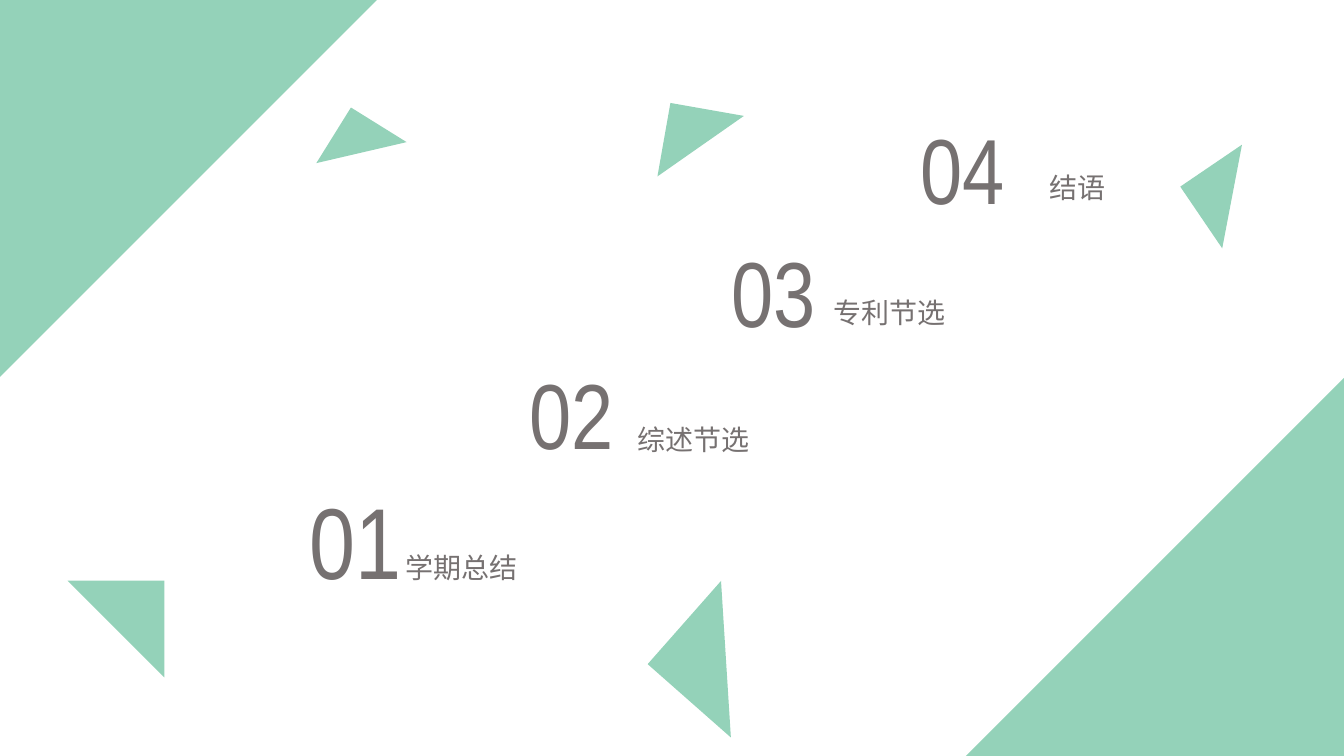
import pptx
import pptx.dml.color
import pptx.enum.shapes
import pptx.enum.text
import pptx.oxml.ns
import pptx.util
from lxml import etree

Inches = pptx.util.Inches
GREEN, GREY = "94D2B9", "767171"

prs = pptx.Presentation()
prs.slide_width, prs.slide_height = Inches(13.33), Inches(7.5)
slide = prs.slides.add_slide(prs.slide_layouts[6])


def triangle(left, top, size, flip="flipV", rotation=0):
    sp = slide.shapes.add_shape(
        pptx.enum.shapes.MSO_SHAPE.RIGHT_TRIANGLE,
        Inches(left), Inches(top), Inches(size), Inches(size))
    sp.shadow.inherit = False
    sp.fill.solid()
    sp.fill.fore_color.rgb = pptx.dml.color.RGBColor.from_string(GREEN)
    sp.line.fill.background()
    sp.rotation = rotation
    sp.element.spPr.get_or_add_xfrm().set(flip, "1")


def label(text, left, top, width, height, size, font):
    tb = slide.shapes.add_textbox(
        Inches(left), Inches(top), Inches(width), Inches(height))
    tf = tb.text_frame
    tf.word_wrap = True
    tf.auto_size = pptx.enum.text.MSO_AUTO_SIZE.SHAPE_TO_FIT_TEXT
    tf.text = text
    r = tf.paragraphs[0].runs[0]
    r.font.size = pptx.util.Pt(size)
    r.font.color.rgb = pptx.dml.color.RGBColor.from_string(GREY)
    r.font.name = font
    ea = etree.SubElement(r.font._element, pptx.oxml.ns.qn("a:ea"))
    ea.set("typeface", font)


# Corner triangles
triangle(9.58, 3.75, 3.75, flip="flipH")
triangle(0, 0, 3.74)

# Contents, rising from lower left to upper right:
# number left, top, width, height, size; heading, left, top
contents = [
    (2.97, 4.70, 1.22, 1.31, 72, "学期总结", 3.92, 5.41),
    (5.15, 3.49, 1.22, 1.21, 66, "综述节选", 6.22, 4.14),
    (7.16, 2.28, 1.22, 1.21, 66, "专利节选", 8.17, 2.88),
    (9.03, 1.06, 1.49, 1.21, 66, "结语", 10.31, 1.64),
]
for n, (x, y, w, h, size, heading, hx, hy) in enumerate(contents, start=1):
    label(f"{n:02d}", x, y, w, h, size, "Arial Narrow")
    label(heading, hx, hy, 2.69, 0.44, 20, "Noto Sans CJK JP")

# Scattered small triangles: left, top, size, rotation
for x, y, size, rotation in [
    (3.26, 1.19, 0.65, 31.9),
    (0.67, 5.76, 0.96, 90),
    (6.65, 5.99, 1.10, 311.4),
    (11.85, 1.58, 0.74, 325.8),
    (6.58, 1.08, 0.74, 10),
]:
    triangle(x, y, size, rotation=rotation)

prs.save("out.pptx")
